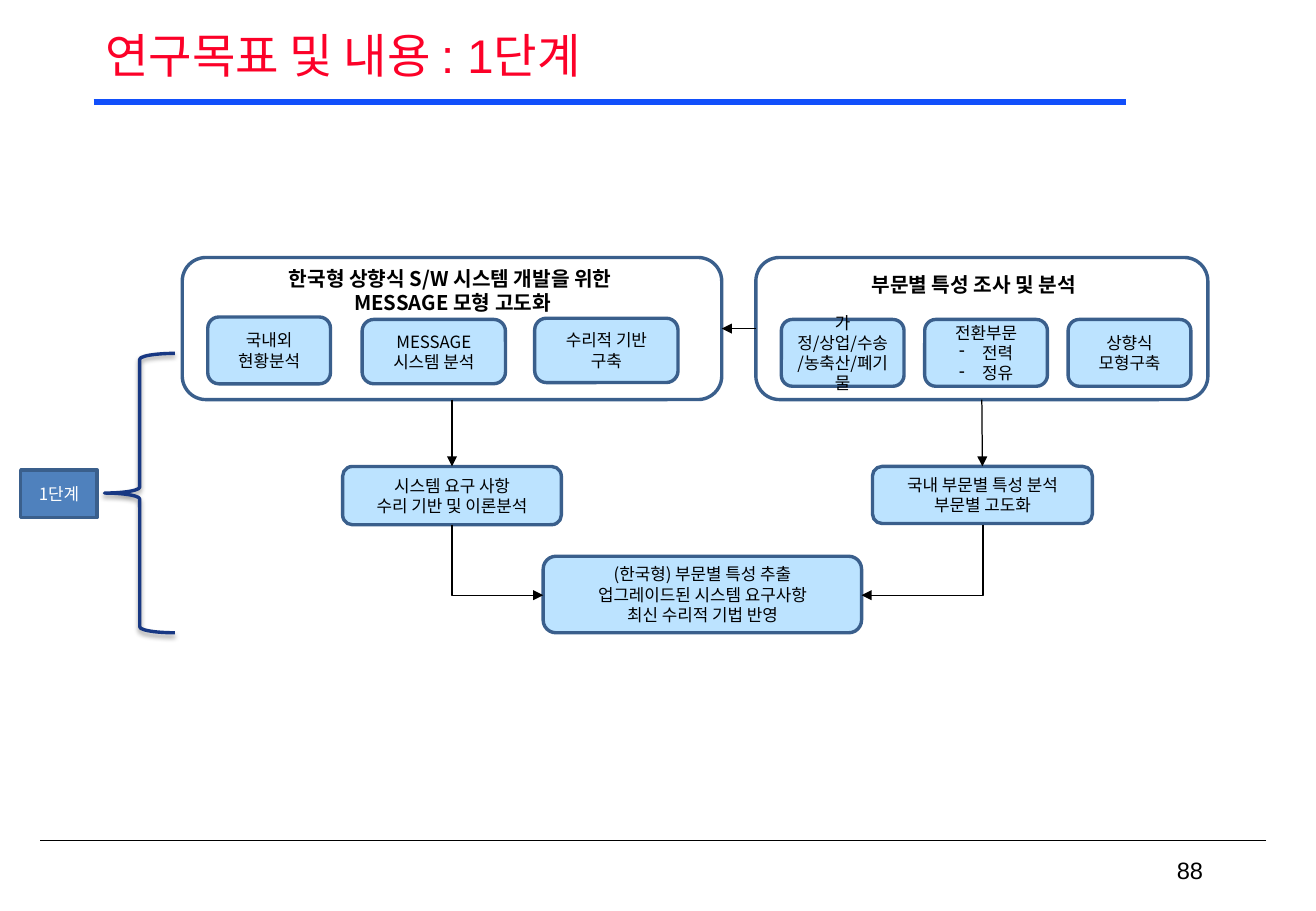
from dataclasses import dataclass
from typing import Optional

from lxml.etree import SubElement
from pptx import Presentation
from pptx.dml.color import RGBColor
from pptx.enum.shapes import MSO_CONNECTOR as CONN, MSO_SHAPE as SHAPE
from pptx.enum.text import MSO_ANCHOR as ANCHOR, PP_ALIGN as ALIGN
from pptx.oxml.ns import qn
from pptx.util import Inches, Pt

BLACK = RGBColor(0x00, 0x00, 0x00)
WHITE = RGBColor(0xFF, 0xFF, 0xFF)
TITLE_RED = RGBColor(0xFC, 0x01, 0x28)
RULE_BLUE = RGBColor(0x11, 0x4F, 0xFB)
BOX_FILL = RGBColor(0xBC, 0xE3, 0xFF)
BOX_LINE = RGBColor(0x3A, 0x5F, 0x8C)
STAGE_FILL = RGBColor(0x4F, 0x81, 0xBD)
BRACE_BLUE = RGBColor(0x18, 0x38, 0x83)
KOREAN = "Noto Sans CJK KR"
TOP, LEFT, BOTTOM, RIGHT = range(4)


@dataclass
class Box:
    left: float
    top: float
    width: float
    height: float
    lines: tuple[str, ...] = ()
    fill: Optional[RGBColor] = BOX_FILL
    line: RGBColor = BOX_LINE
    color: RGBColor = BLACK
    kind: SHAPE = SHAPE.ROUNDED_RECTANGLE
    adj: Optional[float] = None


@dataclass
class Label:
    left: float
    top: float
    width: float
    height: float
    lines: tuple[str, ...]
    size: float = 12
    color: RGBColor = BLACK
    font: str = KOREAN
    bold: bool = False
    align: ALIGN = ALIGN.CENTER
    anchor: ANCHOR = ANCHOR.TOP
    spacing: Optional[float] = None
    wrap: bool = True


def add_dash(p) -> None:
    pPr = p._p.get_or_add_pPr()
    pPr.set("marL", str(Inches(0.19)))
    pPr.set("indent", str(Inches(-0.19)))
    SubElement(pPr, qn("a:buChar"), char="-")


def write(tf, lines: tuple[str, ...], size: float, color: RGBColor, font: str = KOREAN,
          bold: bool = False, align: ALIGN = ALIGN.CENTER) -> None:
    """Write one paragraph per line; a leading "- " makes a dash bullet."""
    for i, line in enumerate(lines):
        p = tf.paragraphs[0] if i == 0 else tf.add_paragraph()
        p.alignment = align
        if line.startswith("- "):
            add_dash(p)
        r = p.add_run()
        r.text = line.removeprefix("- ")
        r.font.name, r.font.size, r.font.bold = font, Pt(size), bold
        r.font.color.rgb = color
        SubElement(r._r.get_or_add_rPr(), qn("a:ea"), typeface=KOREAN)


def draw_box(slide, box: Box):
    sp = slide.shapes.add_shape(box.kind, Inches(box.left), Inches(box.top),
                                Inches(box.width), Inches(box.height))
    sp.shadow.inherit = False
    if box.adj is not None:
        sp.adjustments[0] = box.adj
    if box.fill is None:
        sp.fill.background()
    else:
        sp.fill.solid()
        sp.fill.fore_color.rgb = box.fill
    sp.line.color.rgb = box.line
    sp.line.width = Pt(2)
    tf = sp.text_frame
    tf.word_wrap = True
    tf.vertical_anchor = ANCHOR.MIDDLE
    write(tf, box.lines, 10, box.color)
    return sp


def draw_label(slide, label: Label) -> None:
    sp = slide.shapes.add_textbox(Inches(label.left), Inches(label.top),
                                  Inches(label.width), Inches(label.height))
    tf = sp.text_frame
    tf.word_wrap = label.wrap
    tf.vertical_anchor = label.anchor
    write(tf, label.lines, label.size, label.color, label.font, label.bold, label.align)
    if label.spacing:
        tf.paragraphs[0].line_spacing = label.spacing


def draw_line(slide, x1: float, y1: float, x2: float, y2: float, color: RGBColor = BLACK,
              width: float = 0.75, arrow: bool = False, kind: CONN = CONN.STRAIGHT):
    line = slide.shapes.add_connector(kind, Inches(x1), Inches(y1), Inches(x2), Inches(y2))
    line.line.color.rgb = color
    line.line.width = Pt(width)
    if arrow:
        SubElement(line.line._get_or_add_ln(), qn("a:tailEnd"), type="triangle")
    SubElement(line._element.spPr, qn("a:effectLst"))
    return line


def join(slide, start, start_side: int, end, end_side: int) -> None:
    line = draw_line(slide, 0, 0, 1, 1, arrow=True)
    line.begin_connect(start, start_side)
    line.end_connect(end, end_side)


def draw_elbow(slide, x1: float, y1: float, x2: float, y2: float) -> None:
    """Arrow that runs down from the start, then sideways to the end."""
    cx, cy = (x1 + x2) / 2, (y1 + y2) / 2
    half_w, half_h = (y2 - y1) / 2, abs(x2 - x1) / 2
    turn = 270 if x2 > x1 else 90
    if turn == 270:
        half_w = -half_w  # a mirrored elbow begins on its right side
    line = draw_line(slide, cx - half_w, cy - half_h, cx + half_w, cy + half_h,
                     arrow=True, kind=CONN.ELBOW)
    spPr = line._element.spPr
    spPr.find(qn("a:prstGeom")).set("prst", "bentConnector2")
    spPr.find(qn("a:xfrm")).set("rot", str(turn * 60000))


def add_shadow(sp) -> None:
    effects = sp._element.spPr.find(qn("a:effectLst"))
    shadow = SubElement(effects, qn("a:outerShdw"), blurRad=str(Pt(3.1)),
                        dist=str(Pt(1.6)), dir=str(90 * 60000), rotWithShape="0")
    color = SubElement(shadow, qn("a:srgbClr"), val=str(BLACK))
    SubElement(color, qn("a:alpha"), val="38000")


MODEL_GROUP = Box(1.5, 2.12, 4.44, 1.17, fill=None)
SECTOR_GROUP = Box(6.22, 2.12, 3.72, 1.17, fill=None)
REQUIREMENTS = Box(2.82, 3.84, 1.8, 0.48, ("시스템 요구 사항", "수리 기반 및 이론분석"))
SECTORS = Box(7.18, 3.84, 1.81, 0.47, ("국내 부문별 특성 분석 부문별 고도화",))
RESULT = Box(4.47, 4.58, 2.62, 0.63, ("(한국형) 부문별 특성 추출", "업그레이드된 시스템 요구사항",
                                      "최신 수리적 기법 반영"))
STAGE = Box(0.17, 3.87, 0.63, 0.39, ("1단계",), STAGE_FILL, color=WHITE, kind=SHAPE.RECTANGLE)
BRACE = Box(0.86, 2.91, 0.58, 2.3, fill=None, line=BRACE_BLUE, kind=SHAPE.LEFT_BRACE)

MODEL_TASKS = [
    Box(1.71, 2.61, 1.01, 0.55, ("국내외 현황분석",)),
    Box(2.98, 2.63, 1.18, 0.53, ("MESSAGE 시스템 분석",), adj=0.183),
    Box(4.4, 2.62, 1.18, 0.53, ("수리적 기반 구축",), adj=0.183),
]
SECTOR_TASKS = [
    Box(6.43 + 1.18 * i, 2.63, 1.01, 0.55, lines)
    for i, lines in enumerate([("가정/상업/수송/농축산/폐기물",),
                               ("전환부문", "- 전력", "- 정유"),
                               ("상향식", "모형구축")])
]
LABELS = [
    Label(0.77, 0.17, 9.29, 0.62, ("연구목표 및 내용 : 1단계",), 28, TITLE_RED, "Arial",
          align=ALIGN.JUSTIFY, anchor=ANCHOR.MIDDLE, spacing=0.9),
    Label(7.75, 7, 2.25, 0.33, ("88",), 14, font="Arial", align=ALIGN.RIGHT,
          anchor=ANCHOR.MIDDLE, wrap=False),
    Label(1.34, 2.14, 4.77, 0.5, ("한국형 상향식 S/W 시스템 개발을 위한 ", "MESSAGE 모형 고도화"),
          bold=True),
    Label(6.7, 2.19, 2.63, 0.3, ("부문별 특성 조사 및 분석",), bold=True),
]


def main() -> None:
    prs = Presentation()
    prs.slide_width, prs.slide_height = Inches(10.83), Inches(7.5)
    slide = prs.slides.add_slide(prs.slide_layouts[6])

    # Header and footer rules
    draw_line(slide, 10.42, 6.92, 0.33, 6.92, width=1)
    draw_line(slide, 0.77, 0.84, 9.27, 0.84, RULE_BLUE, 3.75)

    # Boxes and labels
    model, sectors = draw_box(slide, MODEL_GROUP), draw_box(slide, SECTOR_GROUP)
    for task in MODEL_TASKS + SECTOR_TASKS:
        draw_box(slide, task)
    requirements, analysis = draw_box(slide, REQUIREMENTS), draw_box(slide, SECTORS)
    draw_box(slide, RESULT)
    for label in LABELS:
        draw_label(slide, label)

    # Arrows
    join(slide, sectors, LEFT, model, RIGHT)
    join(slide, model, BOTTOM, requirements, TOP)
    join(slide, sectors, BOTTOM, analysis, TOP)
    draw_elbow(slide, 3.72, 4.32, 4.47, 4.9)
    draw_elbow(slide, 8.09, 4.32, 7.09, 4.9)

    # Stage marker
    add_shadow(draw_box(slide, BRACE))
    draw_box(slide, STAGE)

    prs.save("out.pptx")


if __name__ == "__main__":
    main()
